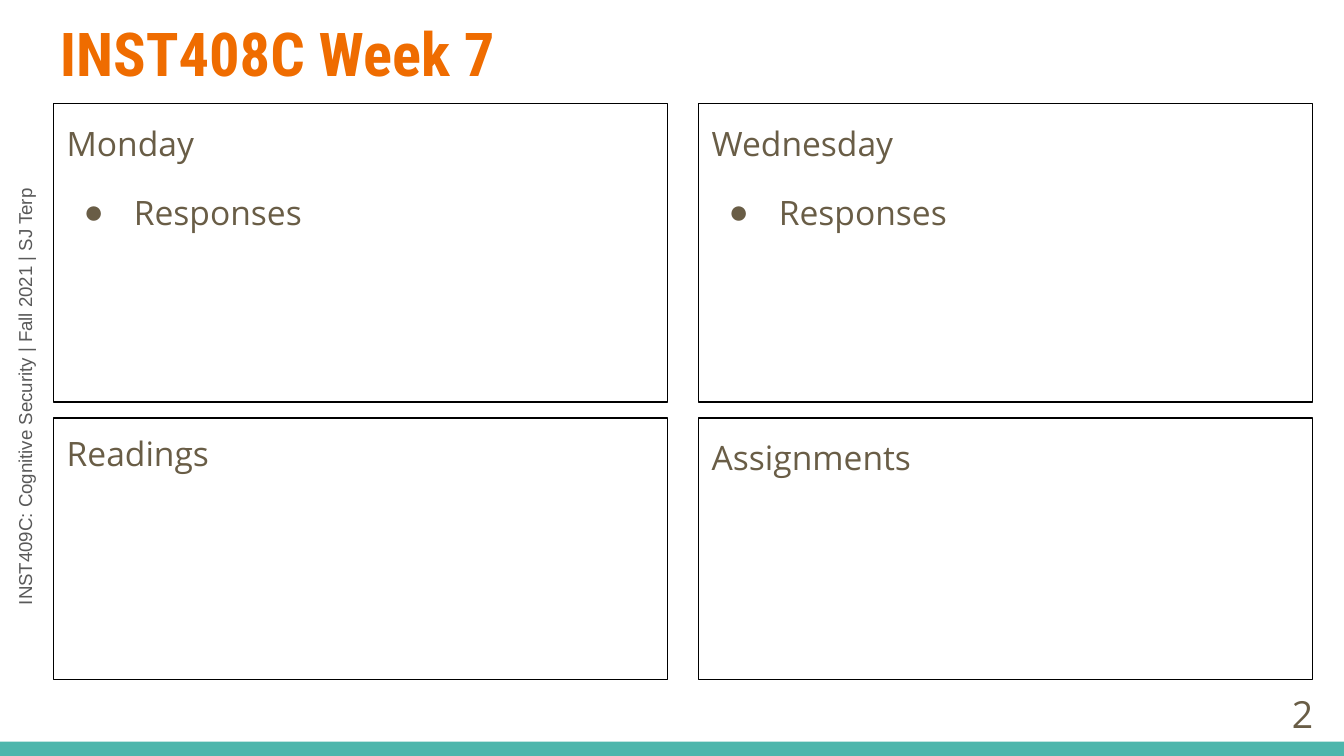
import pptx
import pptx.util
import pptx.dml.color
import pptx.enum.shapes
import pptx.enum.text
import pptx.oxml.ns
import lxml.etree

Cm, Pt = pptx.util.Cm, pptx.util.Pt
Anchor = pptx.enum.text.MSO_ANCHOR
Align = pptx.enum.text.PP_ALIGN

TITLE = "INST408C Week 7"
SIDE = "INST409C: Cognitive Security | Fall 2021 | SJ Terp"
NUMBER = "2"
PANELS = [
    [("Monday", ["Responses"], 1.15), ("Wednesday", ["Responses"], 1.15)],
    [("Readings", [], 1.05), ("Assignments", [], 1.15)],
]
BROWN, ORANGE, GREY, TEAL = "695D46", "EF6C00", "595959", "4DB6AC"
LEFT, WIDE, GAP = 1.01, 11.61, 0.58
ROWS = [(1.96, 5.64), (7.9, 4.95)]


def color(value):
    return pptx.dml.color.RGBColor.from_string(value)


def place(shape, left, top, width, height):
    shape.left, shape.top = Cm(left), Cm(top)
    shape.width, shape.height = Cm(width), Cm(height)


def frame(shape, anchor=Anchor.TOP):
    box = shape.text_frame
    box.word_wrap = True
    box.auto_size = pptx.enum.text.MSO_AUTO_SIZE.NONE
    box.vertical_anchor = anchor
    box.margin_left = box.margin_right = Cm(0.25)
    box.margin_top = box.margin_bottom = Cm(0.25)
    return box


def style(para, name, size, tint, bold=False, align=Align.LEFT):
    para.alignment = align
    for run in para.runs:
        font = run.font
        font.name, font.size, font.bold = name, Pt(size), bold
        font.color.rgb = color(tint)


def bullet(para, mark):
    props = para._p.get_or_add_pPr()
    props.set("marL", str(Cm(1.27) if mark else 0))
    props.set("indent", str(Cm(-0.95) if mark else 0))
    tag = pptx.oxml.ns.qn("a:buChar" if mark else "a:buNone")
    item = lxml.etree.SubElement(props, tag)
    if mark:
        item.set("char", mark)


def panel(shape, head, items, space):
    shape.line.color.rgb = color("000000")
    shape.line.width = Pt(0.75)
    box = frame(shape)
    box.text = "\n".join([head] + items)
    for i, para in enumerate(box.paragraphs):
        bullet(para, "●" if i else "")
        para.line_spacing = space
        para.space_before = Pt(12 if i else 0)
        style(para, "Open Sans", 18, BROWN)


def label(slide, text, spot, anchor, *look, **more):
    shape = slide.shapes.add_textbox(0, 0, 0, 0)
    place(shape, *spot)
    box = frame(shape, anchor)
    box.text = text
    style(box.paragraphs[0], *look, **more)
    return shape


def main():
    deck = pptx.Presentation()
    deck.slide_width, deck.slide_height = Cm(25.4), Cm(14.29)
    slide = deck.slides.add_slide(deck.slide_layouts[4])

    side = label(slide, SIDE, (-4.06, 6.68, 9.07, 0.94), Anchor.TOP,
                 "Arial", 10, GREY)
    side.rotation = 270

    rect = pptx.enum.shapes.MSO_SHAPE.RECTANGLE
    strip = slide.shapes.add_shape(rect, 0, Cm(14.02), Cm(25.4), Cm(0.27))
    strip.shadow.inherit = False
    strip.fill.solid()
    strip.fill.fore_color.rgb = color(TEAL)
    strip.line.fill.background()

    title = slide.shapes.title
    place(title, 0.88, 0, 23.67, 1.96)
    box = frame(title, Anchor.MIDDLE)
    box.text = TITLE
    style(box.paragraphs[0], "Roboto Condensed", 32.4, ORANGE, bold=True)

    bodies = iter(list(slide.placeholders)[1:])
    for (top, height), row in zip(ROWS, PANELS):
        for col, data in enumerate(row):
            shape = next(bodies)
            place(shape, LEFT + col * (WIDE + GAP), top, WIDE, height)
            panel(shape, *data)

    label(slide, NUMBER, (23.55, 12.95, 1.52, 1.09), Anchor.MIDDLE,
          "Open Sans", 20, BROWN, align=Align.RIGHT)
    deck.save("out.pptx")


if __name__ == "__main__":
    main()
